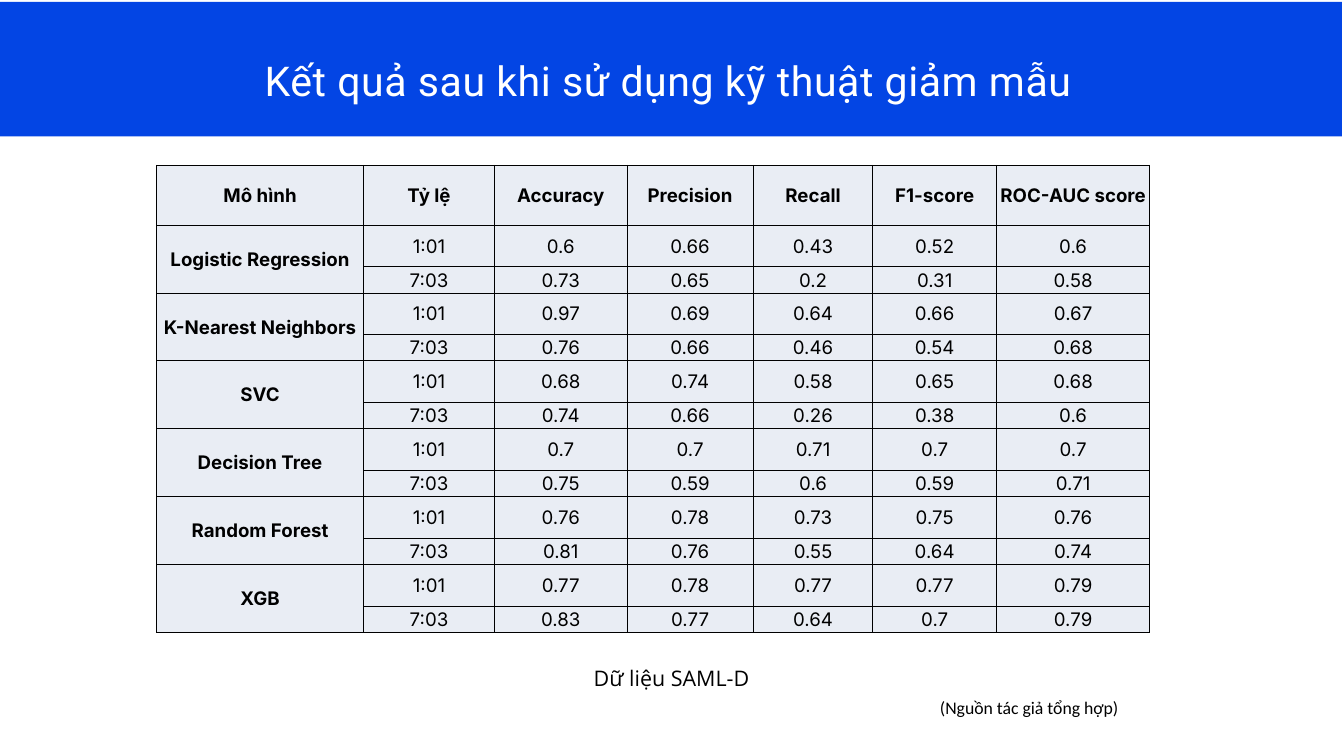
from lxml import etree
from pptx import Presentation
from pptx.dml.color import RGBColor
from pptx.enum.shapes import MSO_SHAPE
from pptx.enum.text import MSO_ANCHOR, MSO_AUTO_SIZE, PP_ALIGN
from pptx.oxml.ns import qn
from pptx.util import Inches, Pt

RECTANGLE = MSO_SHAPE.RECTANGLE
MIDDLE = MSO_ANCHOR.MIDDLE
CENTER = PP_ALIGN.CENTER
FIT_SHAPE = MSO_AUTO_SIZE.SHAPE_TO_FIT_TEXT

COLORS = {"band": "0345E4", "cell": "E9EDF4", "text": "000000",
          "title": "FFFFFF", "border": "000000"}


def format_paragraph(paragraph, font_name, size, color, bold=False):
    paragraph.alignment = CENTER
    for run in paragraph.runs:
        run.font.name = font_name
        run.font.size = Pt(size)
        run.font.bold = bold
        run.font.color.rgb = RGBColor.from_string(COLORS[color])


def add_borders(cell):
    properties = cell._tc.get_or_add_tcPr()
    for side in ("lnL", "lnR", "lnT", "lnB"):
        line = etree.SubElement(properties, qn(f"a:{side}"), w=str(Pt(1)))
        fill = etree.SubElement(line, qn("a:solidFill"))
        etree.SubElement(fill, qn("a:srgbClr"), val=COLORS["border"])


presentation = Presentation()
presentation.slide_width = Inches(20)
presentation.slide_height = Inches(11.25)
slide = presentation.slides.add_slide(presentation.slide_layouts[6])

# Title band
band = slide.shapes.add_shape(RECTANGLE, Inches(-0.03), Inches(0.03), Inches(20), Inches(2))
band.shadow.inherit = False
band.fill.solid()
band.fill.fore_color.rgb = RGBColor.from_string(COLORS["band"])
band.line.fill.background()

# Title, caption and source note: text, box, line spacing, font, size, colour, tracking
TEXTS = [
    ("Kết quả sau khi sử dụng kỹ thuật giảm mẫu", (1.53, 0.93, 16.84, 0.63),
     44.8, "Roboto", 44, "title", 60),
    ("Dữ liệu SAML-D", (3.83, 9.78, 12.33, 0.46), 35.6, "Open Sans", 23, "text", 0),
    ("(Nguồn tác giả tổng hợp)", (13.72, 10.32, 3.19, 0.35), 26.6, "Calibri", 19, "text", 0),
]
for text, box, line_spacing, font_name, size, color, tracking in TEXTS:
    shape = slide.shapes.add_textbox(*[Inches(length) for length in box])
    text_frame = shape.text_frame
    text_frame.word_wrap = True
    text_frame.auto_size = FIT_SHAPE
    text_frame.margin_left = text_frame.margin_right = 0
    text_frame.margin_top = text_frame.margin_bottom = 0
    text_frame.text = text
    paragraph = text_frame.paragraphs[0]
    paragraph.line_spacing = Pt(line_spacing)
    format_paragraph(paragraph, font_name, size, color)
    if tracking:
        paragraph.runs[0].font._element.set("spc", str(tracking))

# Results table: each model has one row per sampling ratio
HEADERS = ["Mô hình", "Tỷ lệ", "Accuracy", "Precision", "Recall", "F1-score", "ROC-AUC score"]
RATIOS = ["1:01", "7:03"]
RESULTS = {
    "Logistic Regression": [(0.6, 0.66, 0.43, 0.52, 0.6), (0.73, 0.65, 0.2, 0.31, 0.58)],
    "K-Nearest Neighbors": [(0.97, 0.69, 0.64, 0.66, 0.67), (0.76, 0.66, 0.46, 0.54, 0.68)],
    "SVC": [(0.68, 0.74, 0.58, 0.65, 0.68), (0.74, 0.66, 0.26, 0.38, 0.6)],
    "Decision Tree": [(0.7, 0.7, 0.71, 0.7, 0.7), (0.75, 0.59, 0.6, 0.59, 0.71)],
    "Random Forest": [(0.76, 0.78, 0.73, 0.75, 0.76), (0.81, 0.76, 0.55, 0.64, 0.74)],
    "XGB": [(0.77, 0.78, 0.77, 0.77, 0.79), (0.83, 0.77, 0.64, 0.7, 0.79)],
}
COLUMN_WIDTHS = [3.08, 1.95, 1.97, 1.88, 1.78, 1.84, 2.28]
ROW_HEIGHTS = [0.89] + [0.62, 0.39] * len(RESULTS)

rows = [HEADERS]
for model, scores_by_ratio in RESULTS.items():
    for ratio, scores in zip(RATIOS, scores_by_ratio):
        label = model if ratio == RATIOS[0] else ""
        rows.append([label, ratio, *map(str, scores)])

table = slide.shapes.add_table(
    len(rows), len(HEADERS), Inches(2.33), Inches(2.46),
    Inches(sum(COLUMN_WIDTHS)), Inches(sum(ROW_HEIGHTS))).table
table.horz_banding = False
for column, width in zip(table.columns, COLUMN_WIDTHS):
    column.width = Inches(width)
for row, height in zip(table.rows, ROW_HEIGHTS):
    row.height = Inches(height)

for row_index, values in enumerate(rows):
    for column_index, value in enumerate(values):
        cell = table.cell(row_index, column_index)
        cell.vertical_anchor = MIDDLE
        cell.margin_left = cell.margin_right = cell.margin_top = Inches(0.01)
        cell.margin_bottom = 0
        add_borders(cell)
        cell.fill.solid()
        cell.fill.fore_color.rgb = RGBColor.from_string(COLORS["cell"])
        cell.text_frame.text = value
        is_label = row_index == 0 or column_index == 0
        format_paragraph(cell.text_frame.paragraphs[0], "Inter", 20, "text", is_label)

# Model names span their ratio rows
for first_row in range(1, len(rows), len(RATIOS)):
    table.cell(first_row, 0).merge(table.cell(first_row + len(RATIOS) - 1, 0))

table.cell(0, 0).margin_top = table.cell(0, 0).margin_bottom = Inches(0.07)

presentation.save("out.pptx")
